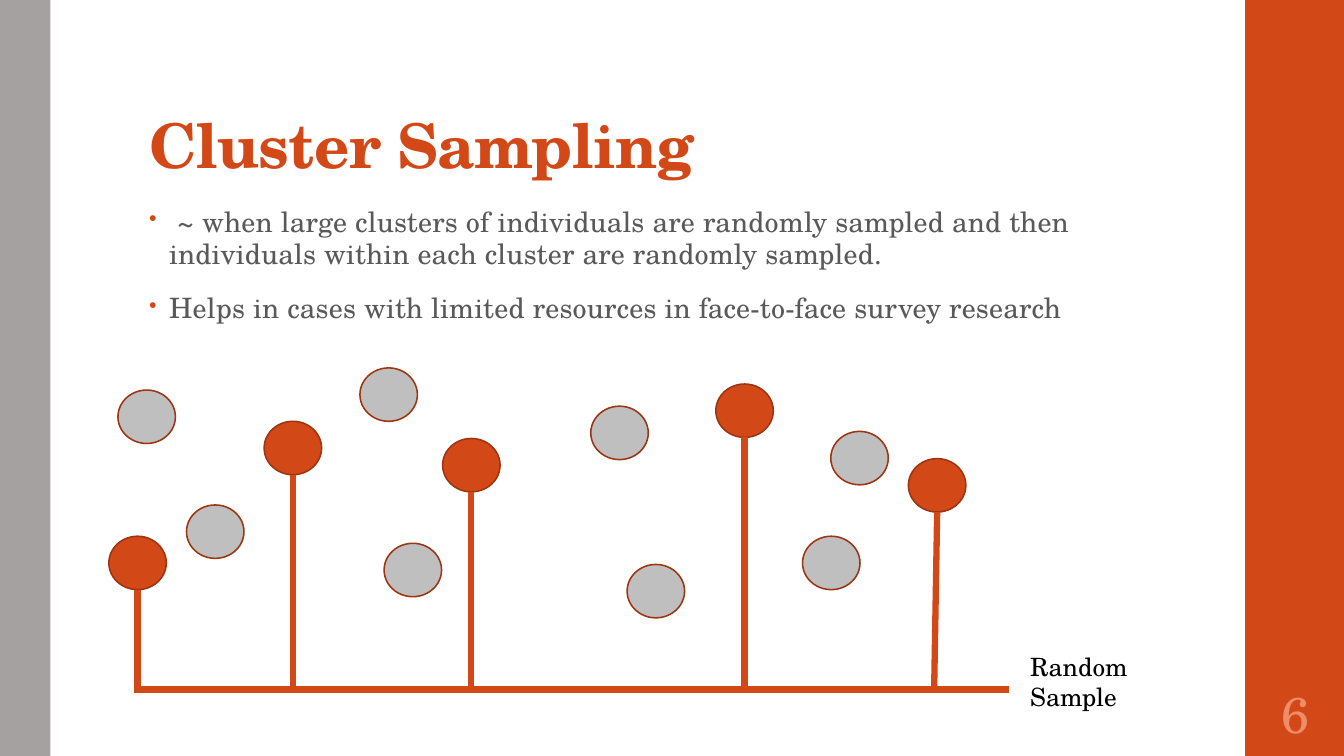
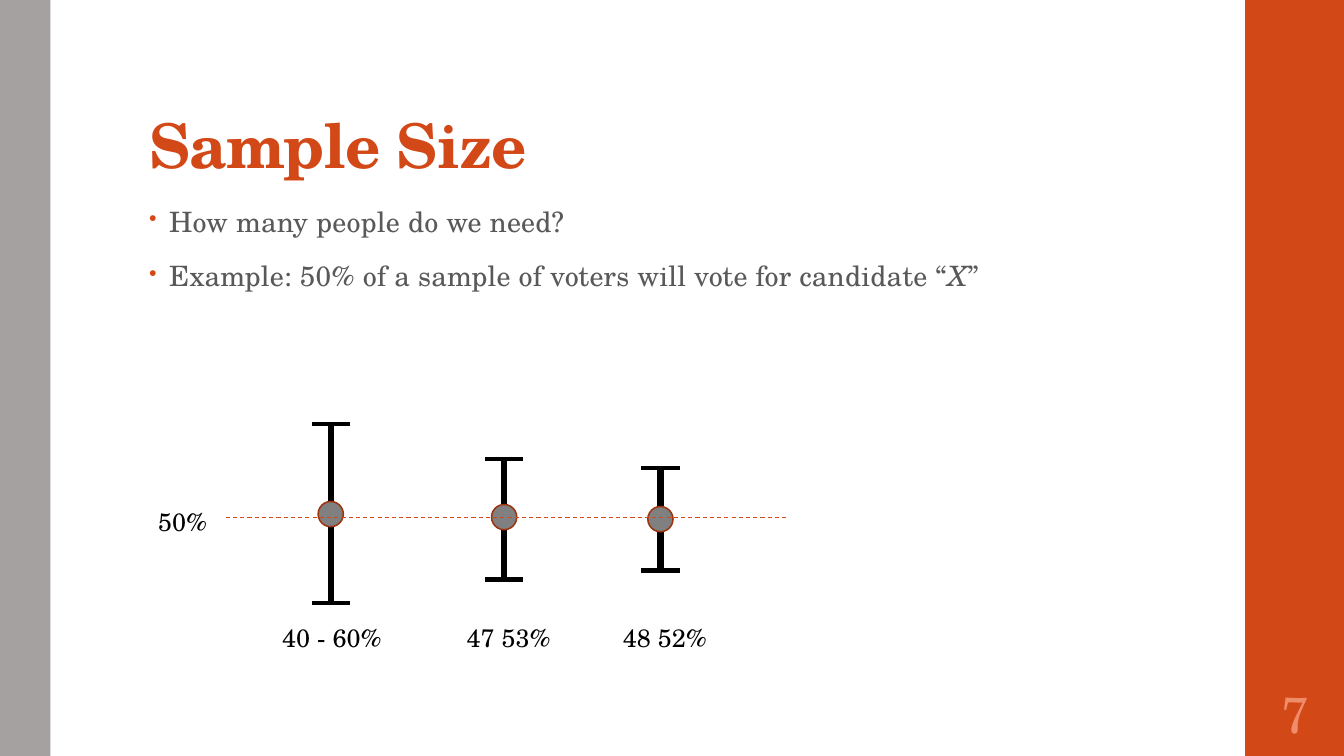
from lxml.etree import SubElement
from pptx import Presentation
from pptx.dml.color import RGBColor
from pptx.enum.dml import MSO_LINE
from pptx.enum.shapes import MSO_CONNECTOR, MSO_SHAPE
from pptx.enum.text import MSO_ANCHOR, MSO_AUTO_SIZE, PP_ALIGN
from pptx.oxml.ns import qn
from pptx.util import Inches, Pt

# Shared style
FONT = "TeX Gyre Schola"
ORANGE, RUST, SALMON = "D34817", "9C3511", "EF8C6A"
STONE, SILVER, GREY, SLATE = "A6A1A1", "BFBFBF", "808080", "595959"
BLACK = "000000"
COLUMNS, ROWS = 13.33, 7.5
BAND_LEFT = 12.35


def color(value):
    return RGBColor.from_string(value)


def apply(target, formats):
    for name, value in formats.items():
        setattr(target, name, value)


class Builder:
    """Holds the deck style and the current page; lengths are grid columns and rows."""

    def __init__(self):
        self.deck = Presentation()
        apply(self.deck, {"slide_width": Inches(COLUMNS), "slide_height": Inches(ROWS)})
        self.column = self.deck.slide_width / COLUMNS
        self.row = self.deck.slide_height / ROWS
        self.page = None

    def place(self, left, top, width, height):
        return [round(left * self.column), round(top * self.row),
                round(width * self.column), round(height * self.row)]

    def start_page(self, title, number):
        self.page = self.deck.slides.add_slide(self.deck.slide_layouts[5])
        self.shape(MSO_SHAPE.RECTANGLE, (BAND_LEFT, 0, 1, ROWS), ORANGE)
        self.shape(MSO_SHAPE.RECTANGLE, (0, 0, 0.5, ROWS), STONE)
        self.title(title)
        box = self.text_box((BAND_LEFT, 6.75, 1, 0.65), inset=0.05)
        box.vertical_anchor = MSO_ANCHOR.MIDDLE
        para = box.paragraphs[0]
        para.alignment = PP_ALIGN.CENTER
        self.span(para, number, 36, SALMON)

    def title(self, text):
        holder = self.page.shapes.title
        area = self.place(1.38, 0.32, 10.6, 1.53)
        apply(holder, dict(zip(("left", "top", "width", "height"), area)))
        box = holder.text_frame
        apply(box, {"vertical_anchor": MSO_ANCHOR.BOTTOM, "word_wrap": True,
                    "auto_size": MSO_AUTO_SIZE.NONE,
                    "margin_left": Inches(0.1), "margin_right": Inches(0.1),
                    "margin_top": Inches(0.03), "margin_bottom": Inches(0.05)})
        para = box.paragraphs[0]
        apply(para, {"alignment": PP_ALIGN.LEFT, "line_spacing": 0.9})
        self.span(para, text, 44, ORANGE, spacing=-50, bold=True)

    def span(self, para, text, size, fill, spacing=0, **formats):
        span = para.add_run()
        span.text = text
        apply(span.font, {"name": FONT, "size": Pt(size), **formats})
        span.font.color.rgb = color(fill)
        if spacing:
            span.font._element.set("spc", str(spacing))

    def text_box(self, area, inset=None):
        box = self.page.shapes.add_textbox(*self.place(*area)).text_frame
        box.word_wrap = True
        if inset is not None:
            sides = ("left", "right", "top", "bottom")
            apply(box, {f"margin_{side}": Inches(inset) for side in sides})
        return box

    def label(self, text, area):
        box = self.text_box(area)
        box.auto_size = MSO_AUTO_SIZE.SHAPE_TO_FIT_TEXT
        self.span(box.paragraphs[0], text, 18, BLACK)

    def bullets(self, items):
        """Each item is a list of (text, italic) spans."""
        box = self.text_box((1.38, 2, 9.4, 4.76))
        for index, item in enumerate(items):
            para = box.add_paragraph() if index else box.paragraphs[0]
            apply(para, {"line_spacing": 0.95, "space_before": Pt(14),
                         "space_after": Pt(2)})
            properties = para._p.get_or_add_pPr()
            properties.set("marL", str(Inches(0.2)))
            properties.set("indent", str(Inches(-0.2)))
            bullet_color = SubElement(properties, qn("a:buClr"))
            SubElement(bullet_color, qn("a:srgbClr"), val=ORANGE)
            SubElement(properties, qn("a:buSzPct"), val="80000")
            SubElement(properties, qn("a:buChar"), char="•")
            for text, italic in item:
                self.span(para, text, 20, SLATE, spacing=10, italic=italic)

    def shape(self, kind, area, fill, outline=None):
        shape = self.page.shapes.add_shape(kind, *self.place(*area))
        shape.shadow.inherit = False
        shape.fill.solid()
        shape.fill.fore_color.rgb = color(fill)
        if outline:
            shape.line.color.rgb = color(outline)
            shape.line.width = Pt(1.1)
        else:
            shape.line.fill.background()

    def dot(self, left, top, width, height, fill):
        self.shape(MSO_SHAPE.OVAL, (left, top, width, height), fill, RUST)

    def line(self, start, end, fill, width, dash=None):
        ends = self.place(*start, *end)
        line = self.page.shapes.add_connector(MSO_CONNECTOR.STRAIGHT, *ends)
        SubElement(line._element.spPr, qn("a:effectLst"))
        line.line.color.rgb = color(fill)
        apply(line.line, {"width": Pt(width), "dash_style": dash})


builder = Builder()

# Cluster sampling: bullets
builder.start_page("Cluster Sampling", "6")
builder.bullets([
    [(" ~ when large clusters of individuals are randomly sampled and then "
      "individuals within each cluster are randomly sampled.", False)],
    [("Helps in cases with limited resources in face-to-face survey research", False)],
])

# Clusters: sampled ones hang on the base line
CLUSTER_WIDTH, CLUSTER_HEIGHT, BASE = 0.57, 0.53, 6.84
sampled = [(1.08, 5.32, 0), (2.62, 4.18, 0), (4.39, 4.35, 0),
           (7.1, 3.81, 0), (9.01, 4.55, 0.03)]
unsampled = [(1.17, 3.87), (1.85, 5.01), (3.57, 3.65), (3.81, 5.39),
             (5.86, 4.03), (6.22, 5.6), (7.96, 5.32), (8.24, 4.28)]
for left, top in unsampled:
    builder.dot(left, top, CLUSTER_WIDTH, CLUSTER_HEIGHT, SILVER)
for left, top, lean in sampled:
    builder.dot(left, top, CLUSTER_WIDTH, CLUSTER_HEIGHT, ORANGE)
    center = left + CLUSTER_WIDTH / 2
    builder.line((center, top + CLUSTER_HEIGHT), (center - lean, BASE), ORANGE, 4.5)
builder.line((1.33, BASE), (10.01, BASE), ORANGE, 4.5)
builder.label("Random Sample", (10.12, 6.41, 1.9, 0.71))

# Sample size: bullets
builder.start_page("Sample Size", "7")
builder.bullets([
    [("How many people do we need?", False)],
    [("Example: 50% of a sample of voters will vote for candidate “", False),
     ("X", True), ("”", False)],
])

# Margins of error: center, top, bottom, estimate, label, label left
DOT, CAP = 0.25, 0.38
intervals = [(3.28, 4.21, 5.98, 5.1, "40 - 60%", 2.7),
             (5, 4.55, 5.75, 5.13, "47 53%", 4.53),
             (6.55, 4.64, 5.66, 5.15, "48 52%", 6.08)]
for center, top, bottom, estimate, label, label_left in intervals:
    builder.line((center, top), (center, bottom), BLACK, 4.5)
    builder.dot(center - DOT / 2, estimate - DOT / 2, DOT, DOT, GREY)
    for end in (top, bottom):
        builder.line((center - CAP / 2, end), (center + CAP / 2, end), BLACK, 3)
    builder.label(label, (label_left, 6.12, 1.22, 0.4))
builder.line((2.24, 5.13), (7.8, 5.13), ORANGE, 0.75, MSO_LINE.DASH)
builder.label("50%", (1.47, 4.97, 1.22, 0.4))

builder.deck.save("out.pptx")
